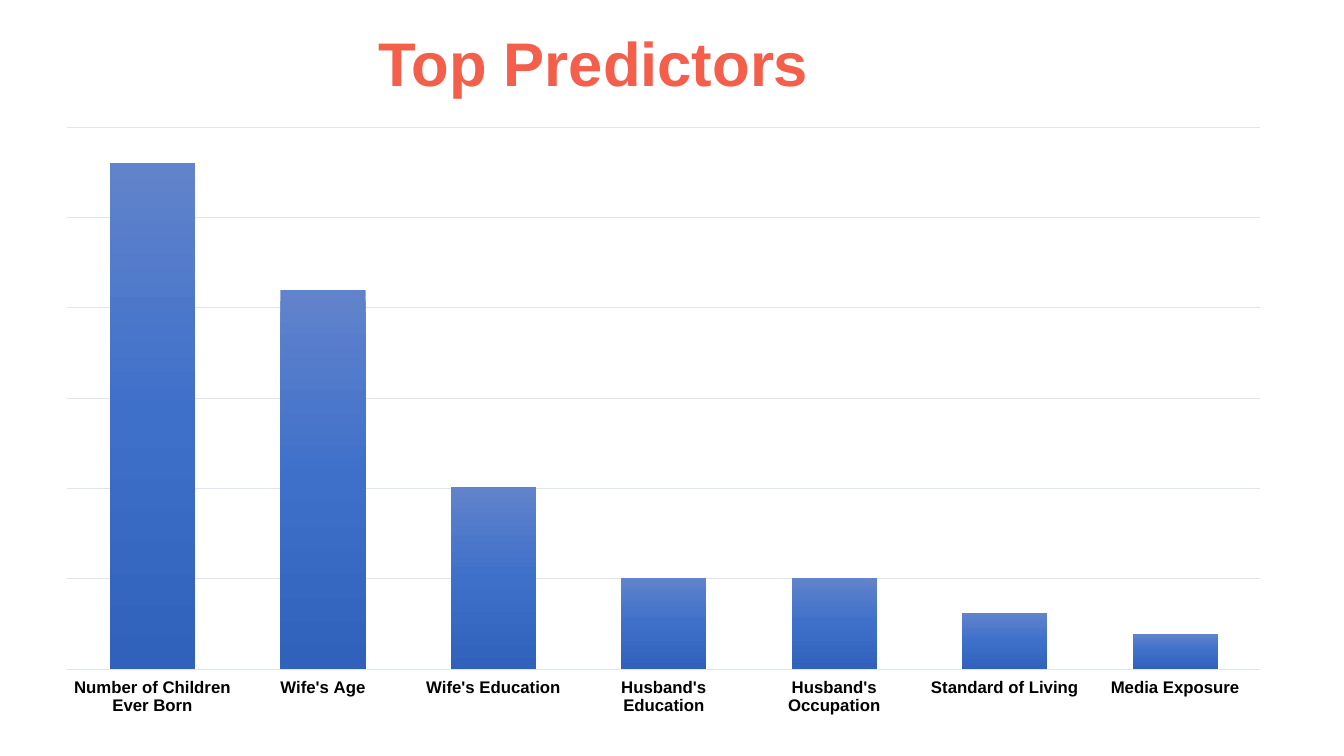
from dataclasses import dataclass

from pptx import Presentation
from pptx.chart.chart import Chart
from pptx.chart.data import CategoryChartData
from pptx.dml.color import RGBColor
from pptx.enum.chart import XL_CHART_TYPE, XL_TICK_LABEL_POSITION, XL_TICK_MARK
from pptx.enum.text import MSO_ANCHOR, PP_ALIGN
from pptx.oxml import parse_xml
from pptx.oxml.ns import nsdecls
from pptx.slide import Slide
from pptx.util import Cm, Pt

COLUMN = XL_CHART_TYPE.COLUMN_CLUSTERED
NO_TICK = XL_TICK_MARK.NONE
LABELS_LOW = XL_TICK_LABEL_POSITION.LOW
MIDDLE = MSO_ANCHOR.MIDDLE
CENTER = PP_ALIGN.CENTER

COLORS = {
    "title": "F35F4B",
    "text": "000000",
    "grid": "E0E5EB",
    "bar_top": "6183CB",
    "bar_middle": "3E70CA",
    "bar_bottom": "3062BB",
}
GRID_STEP = 17.86
GRID_COUNT = 6


@dataclass(frozen=True)
class Predictor:
    name: str
    importance: int


PREDICTORS = [
    Predictor("Number of Children Ever Born", 100),
    Predictor("Wife's Age", 75),
    Predictor("Wife's Education", 36),
    Predictor("Husband's Education", 18),
    Predictor("Husband's Occupation", 18),
    Predictor("Standard of Living", 11),
    Predictor("Media Exposure", 7),
]


def rgb(name: str) -> RGBColor:
    return RGBColor.from_string(COLORS[name])


def style_font(font, face: str, size: float, color: str, bold: bool) -> None:
    font.name = face
    font.size = Pt(size)
    font.bold = bold
    font.color.rgb = rgb(color)


def style_line(line) -> None:
    line.color.rgb = rgb("grid")
    line.width = Pt(0.75)


def add_title(s: Slide, text: str) -> None:
    title = s.shapes.title
    title.left, title.top = Cm(0.36), Cm(0.48)
    title.width, title.height = Cm(29.21), Cm(2.39)
    tf = title.text_frame
    tf.text = text
    tf.vertical_anchor = MIDDLE
    p = tf.paragraphs[0]
    p.alignment = CENTER
    p.line_spacing = 0.9
    style_font(p.font, "Arial", 44, "title", True)


def fill_bars(chart: Chart) -> None:
    """Give the bars a three-stop gradient running from top to bottom."""
    names = ("bar_top", "bar_middle", "bar_bottom")
    stops = "".join(
        f'<a:gs pos="{i * 50000}"><a:srgbClr val="{COLORS[name]}"/></a:gs>'
        for i, name in enumerate(names)
    )
    gradient = parse_xml(
        f'<a:gradFill {nsdecls("a")} rotWithShape="1"><a:gsLst>{stops}</a:gsLst>'
        '<a:lin ang="5400000" scaled="0"/></a:gradFill>'
    )
    chart.plots[0].series[0]._element.get_or_add_spPr().append(gradient)


def add_predictor_chart(s: Slide, predictors: list[Predictor]) -> None:
    data = CategoryChartData()
    data.categories = [item.name for item in predictors]
    data.add_series("Series 1", [item.importance for item in predictors])
    chart = s.shapes.add_chart(
        COLUMN, Cm(1.07), Cm(2.9), Cm(31.32), Cm(15.42), data
    ).chart
    chart.has_title = False
    chart.has_legend = False
    style_font(chart.font, "Calibri", 10, "text", False)

    plot = chart.plots[0]
    plot.gap_width = 100
    plot.overlap = -24
    plot.vary_by_categories = False
    fill_bars(chart)

    names = chart.category_axis
    names.major_tick_mark = names.minor_tick_mark = NO_TICK
    names.tick_label_position = LABELS_LOW
    style_font(names.tick_labels.font, "Arial", 12, "text", True)
    style_line(names.format.line)

    values = chart.value_axis
    values.visible = False
    values.minimum_scale = 0
    values.maximum_scale = GRID_STEP * GRID_COUNT
    values.major_unit = GRID_STEP
    values.has_major_gridlines = True
    style_line(values.major_gridlines.format.line)


def main() -> None:
    prs = Presentation()
    prs.slide_width, prs.slide_height = Cm(33.87), Cm(19.05)
    s = prs.slides.add_slide(prs.slide_layouts.get_by_name("Title Only"))
    add_title(s, "Top Predictors")
    add_predictor_chart(s, PREDICTORS)
    prs.save("out.pptx")


if __name__ == "__main__":
    main()
